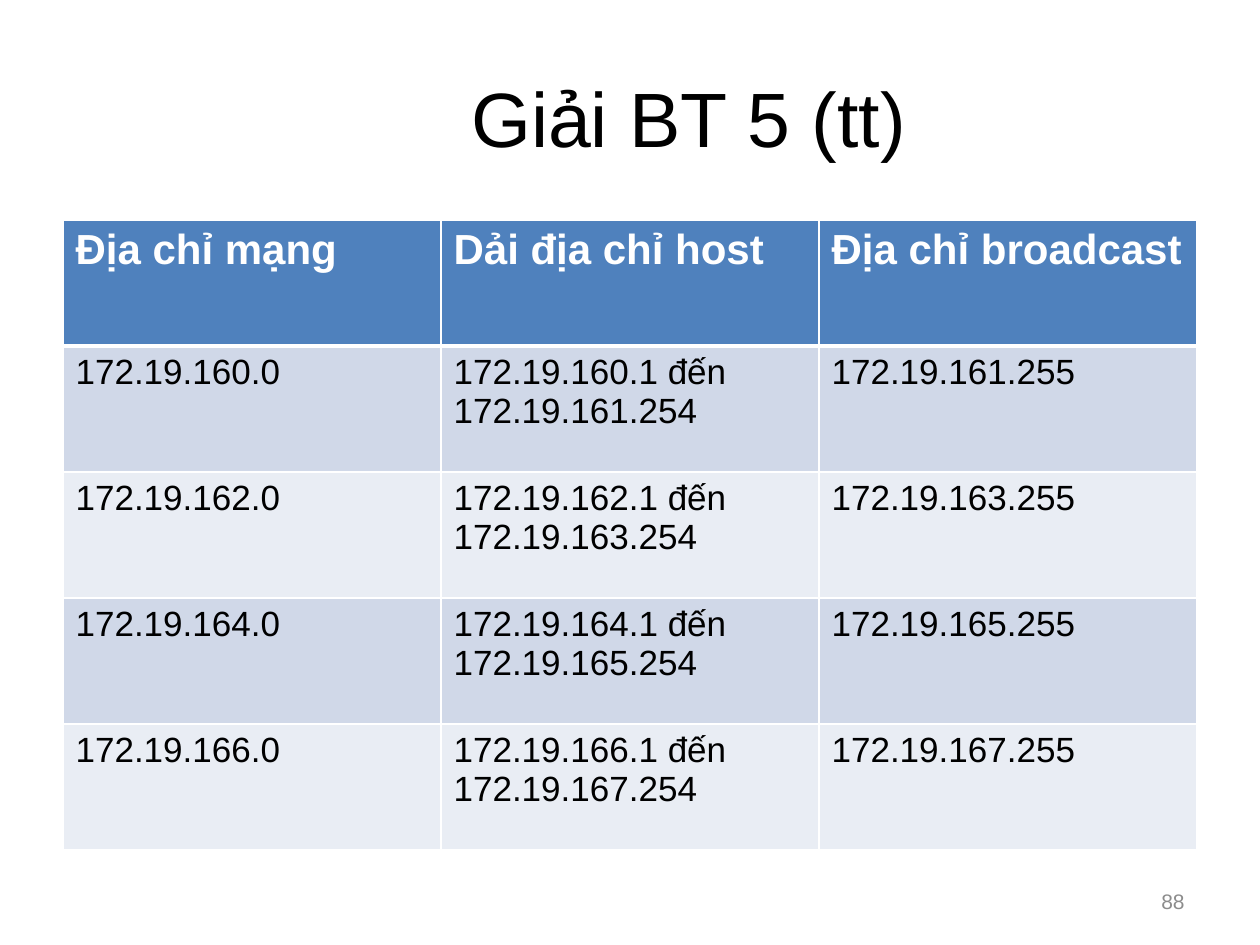
from lxml import etree
from pptx import Presentation
from pptx import util as u
from pptx.dml.color import RGBColor
from pptx.enum import text
from pptx.oxml.ns import qn

PX = 914400 / 126
FONT = "Arial"
HUES = {"head": "4F81BD", "odd": "D0D8E8", "even": "E9EDF4",
        "white": "FFFFFF", "black": "000000", "gray": "8C8C8C"}


def box(*sizes):
    """Turn px lengths into EMU."""
    return [u.Emu(round(size * PX)) for size in sizes]


def style(frame, size, hue, bold=False):
    for par in frame.paragraphs:
        for run in par.runs:
            run.font.name = FONT
            run.font.size = u.Pt(size)
            run.font.bold = bold
            run.font.color.rgb = RGBColor.from_string(HUES[hue])


deck = Presentation()
deck.slide_width, deck.slide_height = box(1260, 945)
slide = deck.slides.add_slide(deck.slide_layouts[5])

# Title
title = slide.shapes.title
title.left, title.top, title.width, title.height = box(147, 38, 1084, 158)
frame = title.text_frame
frame.text = "Giải BT 5 (tt)"
frame.vertical_anchor = text.MSO_ANCHOR.MIDDLE
frame.paragraphs[0].alignment = text.PP_ALIGN.CENTER
style(frame, 44, "black")

# Subnet table: each network spans two values of the third octet
rows = [["Địa chỉ mạng", "Dải địa chỉ host", "Địa chỉ broadcast"]]
for net in range(160, 168, 2):
    rows.append([f"172.19.{net}.0",
                 f"172.19.{net}.1 đến 172.19.{net + 1}.254",
                 f"172.19.{net + 1}.255"])

table = slide.shapes.add_table(len(rows), 3, *box(63, 220, 1134, 630)).table
for r, row in enumerate(rows):
    head = r == 0
    band = "head" if head else "odd" if r % 2 else "even"
    for c, words in enumerate(row):
        cell = table.cell(r, c)
        cell.text_frame.text = words
        style(cell.text_frame, 24 if head else 20,
              "white" if head else "black", head)
        props = cell._tc.get_or_add_tcPr()
        for side in "LRTB":
            thick = (head and side == "B") or (r == 1 and side == "T")
            line = etree.SubElement(props, qn(f"a:ln{side}"),
                                    w=str(u.Pt(3 if thick else 1)))
            fill = etree.SubElement(line, qn("a:solidFill"))
            etree.SubElement(fill, qn("a:srgbClr"), val=HUES["white"])
        cell.fill.solid()
        cell.fill.fore_color.rgb = RGBColor.from_string(HUES[band])

# Page number
page = slide.shapes.add_textbox(*box(903, 876, 294, 50)).text_frame
page.word_wrap = True
page.text = "88"
page.vertical_anchor = text.MSO_ANCHOR.MIDDLE
page.paragraphs[0].alignment = text.PP_ALIGN.RIGHT
style(page, 12, "gray")

deck.save("out.pptx")
